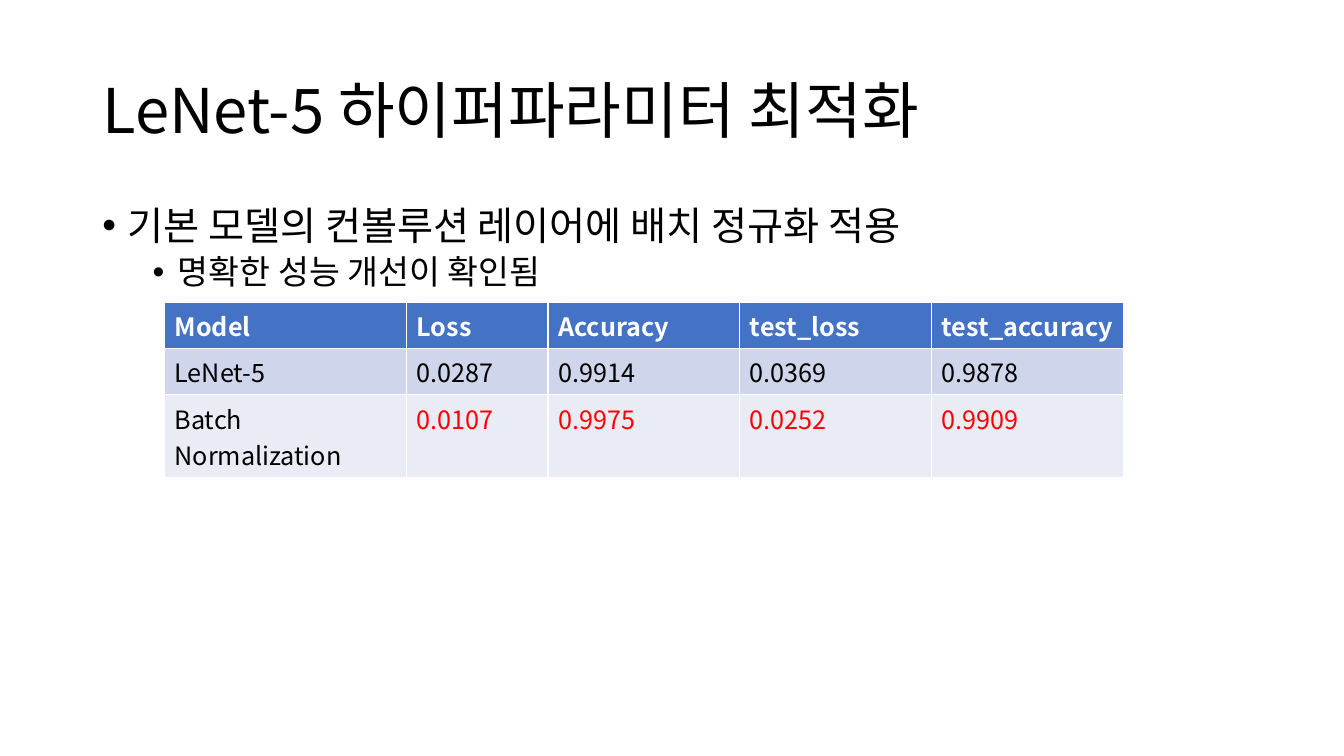
from lxml.etree import SubElement
from pptx import Presentation
from pptx.dml.color import RGBColor
from pptx.enum.text import MSO_ANCHOR, PP_ALIGN
from pptx.oxml.ns import qn
from pptx.util import Pt

TITLE = "LeNet-5 하이퍼파라미터 최적화"
# text, size, left indent, space before
BULLETS = [
    ("기본 모델의 컨볼루션 레이어에 배치 정규화 적용", 28, 18, 10),
    ("명확한 성능 개선이 확인됨", 24, 54, 5),
]
RESULTS = [
    ("Model", "Loss", "Accuracy", "test_loss", "test_accuracy"),
    ("LeNet-5", "0.0287", "0.9914", "0.0369", "0.9878"),
    ("Batch Normalization", "0.0107", "0.9975", "0.0252", "0.9909"),
]
COLUMN_WIDTHS = [173, 101, 137, 137, 137]
ROW_HEIGHTS = [33, 33, 59]

FONT = "Noto Sans CJK KR"
BLACK = RGBColor(0x00, 0x00, 0x00)
WHITE = RGBColor(0xFF, 0xFF, 0xFF)
RED = RGBColor(0xFF, 0x00, 0x00)
ROW_FILLS = [
    RGBColor(0x44, 0x72, 0xC4),
    RGBColor(0xCF, 0xD5, 0xEA),
    RGBColor(0xE9, 0xEB, 0xF5),
]
HANGING = 18


def write(para, text, size, color, bold=False):
    """Fill a paragraph, setting its Latin and East Asian fonts alike."""
    para.text = text
    font = para.font
    font.name, font.size, font.bold = FONT, Pt(size), bold
    font.color.rgb = color
    for span in para.runs:
        span.font.name = FONT
        SubElement(span.font._element, qn("a:ea"), typeface=FONT)


def add_bullet(para, indent):
    props = para._p.get_or_add_pPr()
    props.set("marL", str(Pt(indent)))
    props.set("indent", str(-Pt(HANGING)))
    bullet_font = SubElement(props, qn("a:buFont"), typeface="Arial")
    bullet = SubElement(props, qn("a:buChar"), char="•")
    props.find(qn("a:defRPr")).addprevious(bullet_font)
    bullet_font.addnext(bullet)


def add_title(page):
    title = page.shapes.title
    title.left, title.top, title.width, title.height = Pt(66), Pt(29), Pt(828), Pt(104)
    title.text_frame.vertical_anchor = MSO_ANCHOR.MIDDLE
    para = title.text_frame.paragraphs[0]
    write(para, TITLE, 44, BLACK)
    para.alignment = PP_ALIGN.LEFT
    para.line_spacing = 0.9


def add_bullets(page):
    box = page.shapes.add_textbox(Pt(66), Pt(144), Pt(828), Pt(343))
    frame = box.text_frame
    frame.word_wrap = True
    for index, (text, size, indent, before) in enumerate(BULLETS):
        para = frame.add_paragraph() if index else frame.paragraphs[0]
        write(para, text, size, BLACK)
        para.level = index
        para.line_spacing = 0.9
        para.space_before = Pt(before)
        add_bullet(para, indent)


def add_results(page):
    table = page.shapes.add_table(
        len(RESULTS), len(COLUMN_WIDTHS), Pt(117.5), Pt(216),
        Pt(sum(COLUMN_WIDTHS)), Pt(sum(ROW_HEIGHTS))).table
    for column, width in zip(table.columns, COLUMN_WIDTHS):
        column.width = Pt(width)
    best = len(RESULTS) - 1
    for r, (values, height, fill) in enumerate(zip(RESULTS, ROW_HEIGHTS, ROW_FILLS)):
        table.rows[r].height = Pt(height)
        for c, value in enumerate(values):
            cell = table.cell(r, c)
            cell.fill.solid()
            cell.fill.fore_color.rgb = fill
            color = WHITE if r == 0 else RED if r == best and c else BLACK
            write(cell.text_frame.paragraphs[0], value, 18, color, bold=r == 0)


def main():
    deck = Presentation()
    deck.slide_width, deck.slide_height = Pt(960), Pt(540)
    page = deck.slides.add_slide(deck.slide_layouts[5])
    add_title(page)
    add_bullets(page)
    add_results(page)
    deck.save("out.pptx")


if __name__ == "__main__":
    main()
